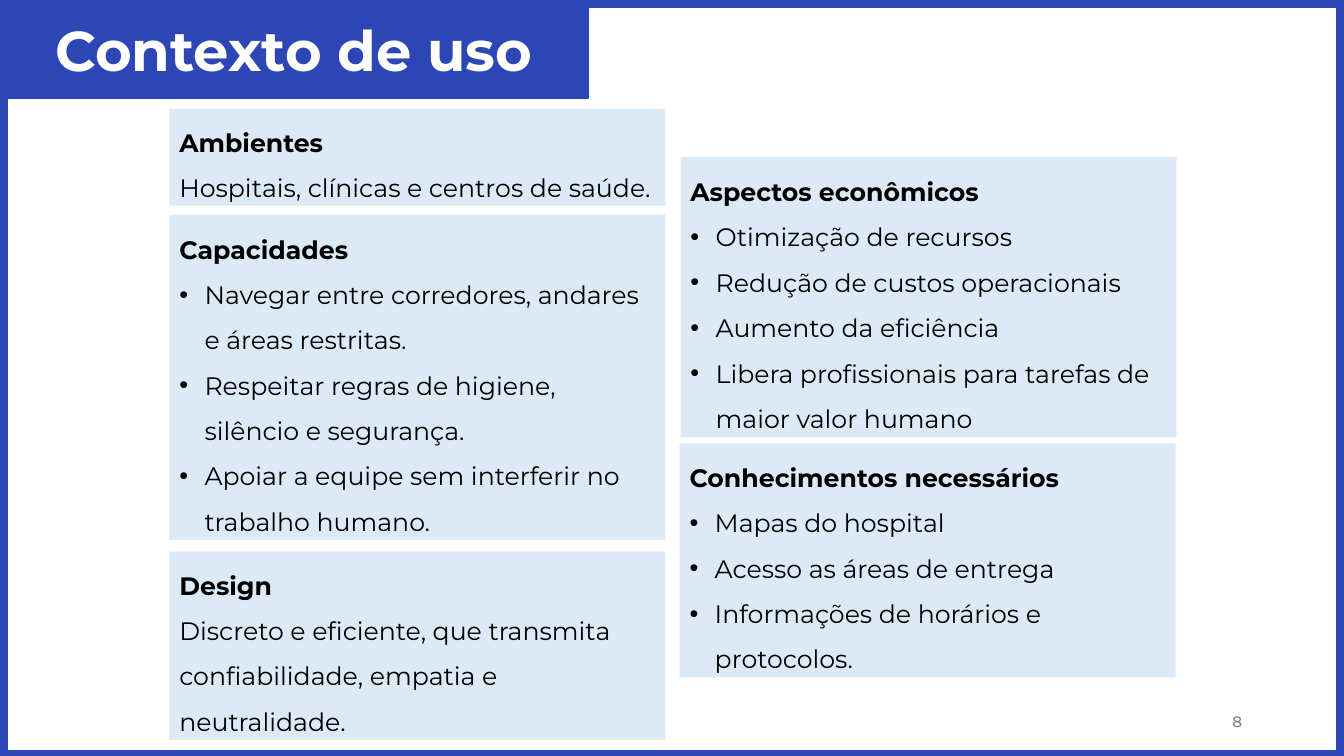
from lxml.etree import SubElement
from pptx import Presentation
from pptx.dml.color import RGBColor as RGB
from pptx.enum.shapes import MSO_SHAPE as Shape
from pptx.enum.text import MSO_ANCHOR as Anchor, MSO_AUTO_SIZE as Auto, PP_ALIGN as Align
from pptx.oxml.ns import qn
from pptx.util import Inches, Pt

BLUE, PALE, BLACK, WHITE, GRAY = "2C46B6", "DCEAF7", "000000", "FFFFFF", "797979"
WIDE = 4.92
BARS = [
    (5.48, 0, 7.83, 0.07),
    (0, 7.45, 13.33, 0.07),
    (13.26, 0, 0.07, 7.52),
    (0, 0, 0.07, 7.52),
]
CARDS = [
    (1.68, 1.08, 0.96, "Ambientes", ["Hospitais, clínicas e centros de saúde."], False),
    (1.68, 2.13, 3.23, "Capacidades", [
        "Navegar entre corredores, andares e áreas restritas.",
        "Respeitar regras de higiene, silêncio e segurança.",
        "Apoiar a equipe sem interferir no trabalho humano.",
    ], True),
    (1.68, 5.47, 1.87, "Design", [
        "Discreto e eficiente, que transmita confiabilidade, empatia e neutralidade.",
    ], False),
    (6.75, 1.56, 2.78, "Aspectos econômicos", [
        "Otimização de recursos",
        "Redução de custos operacionais",
        "Aumento da eficiência",
        "Libera profissionais para tarefas de maior valor humano",
    ], True),
    (6.74, 4.4, 2.32, "Conhecimentos necessários", [
        "Mapas do hospital",
        "Acesso as áreas de entrega",
        "Informações de horários e protocolos.",
    ], True),
]


def paint(target, color):
    """Set a solid colour on a fill."""
    target.solid()
    target.fore_color.rgb = RGB.from_string(color)


def write(para, text, size=18, font="Montserrat", color=BLACK, bold=False,
          align=Align.LEFT, space=1.0, bullet=False):
    """Fill a paragraph with formatted text."""
    if bullet:
        props = para._p.get_or_add_pPr()
        props.set("marL", str(Inches(0.25)))
        props.set("indent", str(-Inches(0.25)))
        SubElement(props, qn("a:buFont"), typeface="Arial")
        SubElement(props, qn("a:buChar"), char="•")
    para.alignment = align
    para.line_spacing = space
    run = para.add_run()
    run.text = text
    run.font.size = Pt(size)
    run.font.name = font
    run.font.bold = bold
    paint(run.font.fill, color)


def add_rect(slide, left, top, width, height, fill, line=None):
    """Add a flat rectangle and return it."""
    rect = slide.shapes.add_shape(
        Shape.RECTANGLE, Inches(left), Inches(top), Inches(width), Inches(height))
    rect.shadow.inherit = False
    paint(rect.fill, fill)
    if line:
        paint(rect.line.fill, line)
        rect.line.width = Pt(1.5)
    else:
        rect.line.fill.background()
    rect.text_frame.word_wrap = True
    rect.text_frame.vertical_anchor = Anchor.MIDDLE
    return rect


def add_card(slide, left, top, height, head, items, bullet):
    """Add a pale card with a bold heading and its items."""
    frame = add_rect(slide, left, top, WIDE, height, PALE).text_frame
    frame.auto_size = Auto.SHAPE_TO_FIT_TEXT
    write(frame.paragraphs[0], head, bold=True, space=1.5)
    for item in items:
        write(frame.add_paragraph(), item, space=1.5, bullet=bullet)


def add_number(slide, text):
    """Add the page number at the lower right."""
    box = slide.shapes.add_textbox(Inches(9.42), Inches(6.95), Inches(3), Inches(0.4))
    frame = box.text_frame
    frame.word_wrap = True
    frame.vertical_anchor = Anchor.MIDDLE
    write(frame.paragraphs[0], text, size=12, font="Karla", color=GRAY, align=Align.RIGHT)


def main():
    """Build and save the slide."""
    deck = Presentation()
    deck.slide_width, deck.slide_height = Inches(13.33), Inches(7.5)
    slide = deck.slides.add_slide(deck.slide_layouts[6])
    title = add_rect(slide, 0, 0, 5.83, 0.97, BLUE, BLUE)
    write(title.text_frame.paragraphs[0], "Contexto de uso", size=40, color=WHITE,
          bold=True, align=Align.CENTER)
    for bar in BARS:
        add_rect(slide, *bar, BLUE, BLUE)
    for card in CARDS:
        add_card(slide, *card)
    add_number(slide, "8")
    deck.save("out.pptx")


if __name__ == "__main__":
    main()
